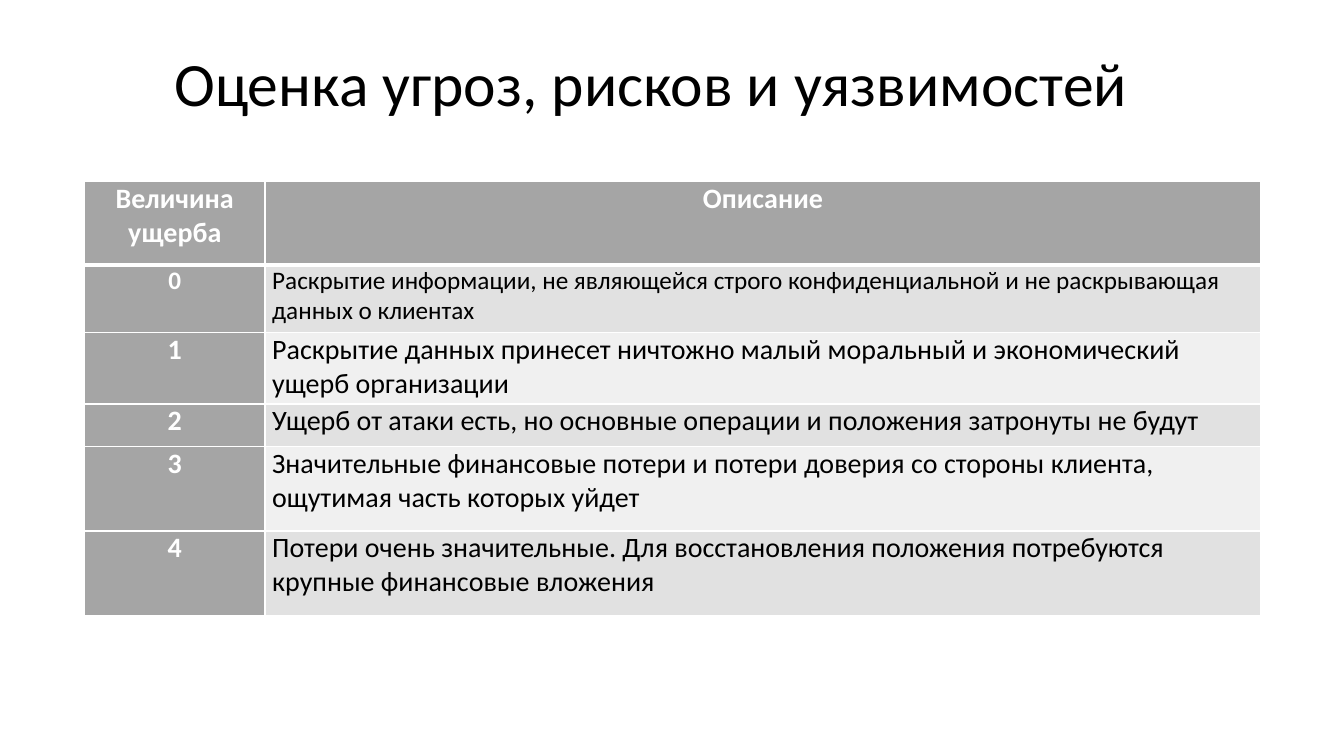
import dataclasses

import pptx
import pptx.dml.color
import pptx.enum.text
import pptx.oxml
import pptx.oxml.ns
import pptx.util
from pptx.util import Cm


@dataclasses.dataclass(frozen=True)
class Theme:
    """Colours, font and type sizes of the slide."""

    font: str = "Calibri"
    ink: str = "000000"
    paper: str = "FFFFFF"
    accent: str = "A5A5A5"
    bands: tuple = ("E1E1E1", "F0F0F0")
    title_size: int = 44
    table_size: int = 20
    small_size: int = 18


THEME = Theme()
CENTER = pptx.enum.text.PP_ALIGN.CENTER
LEFT = pptx.enum.text.PP_ALIGN.LEFT

HEADER = ("Величина\nущерба", "Описание")
DAMAGE_LEVELS = (
    "Раскрытие информации, не являющейся строго конфиденциальной и не раскрывающая данных о клиентах",
    "Раскрытие данных принесет ничтожно малый моральный и экономический ущерб организации",
    "Ущерб от атаки есть, но основные операции и положения затронуты не будут",
    "Значительные финансовые потери и потери доверия со стороны клиента, ощутимая часть которых уйдет",
    "Потери очень значительные. Для восстановления положения потребуются крупные финансовые вложения",
)
COLUMN_WIDTHS = (4.55, 25.1)
ROW_HEIGHTS = (2.11, 1.7, 1.8, 1.07, 2.13, 2.13)


def write_text(frame, text, *, size, color=THEME.ink, bold=False, align=LEFT,
               line_spacing=None, space_before=0):
    """Put one formatted paragraph into a text frame."""
    para = frame.paragraphs[0]
    para.text = text
    para.alignment = align
    para.line_spacing = line_spacing
    para.space_before = pptx.util.Pt(space_before)
    for span in para.runs:
        span.font.name = THEME.font
        span.font.size = pptx.util.Pt(size)
        span.font.bold = bold
        span.font.color.rgb = pptx.dml.color.RGBColor.from_string(color)


def add_title(page, text):
    """Place and format the title placeholder."""
    box = page.shapes.title
    box.left, box.top, box.width, box.height = Cm(4.14), Cm(1.09), Cm(29.21), Cm(2.16)
    frame = box.text_frame
    frame.word_wrap = True
    frame.auto_size = pptx.enum.text.MSO_AUTO_SIZE.NONE
    frame.vertical_anchor = pptx.enum.text.MSO_ANCHOR.MIDDLE
    write_text(frame, text, size=THEME.title_size, line_spacing=0.9)


def set_borders(cell, *, top, bottom):
    """Draw the four cell borders, with top and bottom widths in points."""
    properties = cell._tc.get_or_add_tcPr()
    widths = {"lnL": 1, "lnR": 1, "lnT": top, "lnB": bottom}
    for position, (tag, width) in enumerate(widths.items()):
        line = pptx.oxml.parse_xml(
            f'<a:{tag} {pptx.oxml.ns.nsdecls("a")} w="{pptx.util.Pt(width)}">'
            f'<a:solidFill><a:srgbClr val="{THEME.paper}"/></a:solidFill></a:{tag}>'
        )
        properties.insert(position, line)


def fill_cell(cell, text, *, fill, top=1, bottom=1, **text_format):
    """Give a cell its margins, fill, borders and text."""
    cell.margin_left = cell.margin_right = Cm(0.18)
    cell.margin_top = cell.margin_bottom = 0
    cell.fill.solid()
    cell.fill.fore_color.rgb = pptx.dml.color.RGBColor.from_string(fill)
    set_borders(cell, top=top, bottom=bottom)
    write_text(cell.text_frame, text, **text_format)


def add_damage_table(page):
    """Build the table of damage levels."""
    table = page.shapes.add_table(
        len(ROW_HEIGHTS), len(COLUMN_WIDTHS), Cm(2.13), Cm(4.57),
        Cm(sum(COLUMN_WIDTHS)), Cm(sum(ROW_HEIGHTS)),
    ).table
    for column, width in zip(table.columns, COLUMN_WIDTHS):
        column.width = Cm(width)
    for row, height in zip(table.rows, ROW_HEIGHTS):
        row.height = Cm(height)

    heading = {"fill": THEME.accent, "color": THEME.paper, "bold": True, "align": CENTER}
    for index, label in enumerate(HEADER):
        fill_cell(table.cell(0, index), label, size=THEME.table_size, bottom=3,
                  space_before=6 * index, **heading)
    for level, description in enumerate(DAMAGE_LEVELS):
        size = THEME.table_size if level else THEME.small_size
        top = 1 if level else 3
        fill_cell(table.cell(level + 1, 0), str(level), size=size, top=top, **heading)
        fill_cell(table.cell(level + 1, 1), description, size=size, top=top,
                  fill=THEME.bands[level % 2])


def main():
    """Build and save the deck."""
    deck = pptx.Presentation()
    deck.slide_width, deck.slide_height = Cm(33.87), Cm(19.05)
    page = deck.slides.add_slide(deck.slide_layouts.get_by_name("Title Only"))
    add_title(page, "Оценка угроз, рисков и уязвимостей")
    add_damage_table(page)
    deck.save("out.pptx")


if __name__ == "__main__":
    main()
